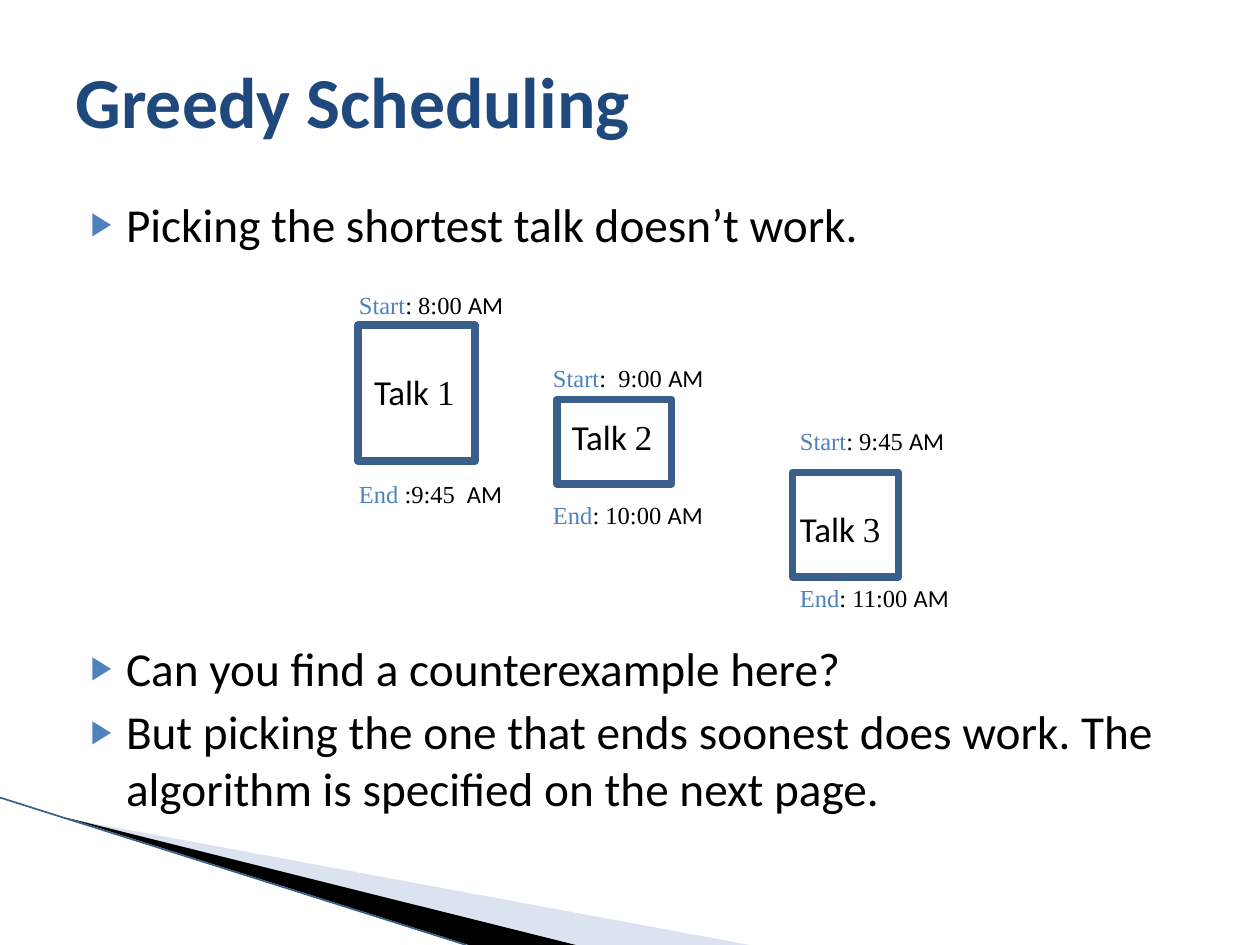
from pptx import Presentation
from pptx.util import Inches, Pt
from pptx.dml.color import RGBColor as RGB
from pptx.enum.shapes import MSO_SHAPE as Kind, MSO_CONNECTOR as Link
from pptx.enum.text import MSO_ANCHOR as Anchor, MSO_AUTO_SIZE as Fit, PP_ALIGN as Align
from lxml.etree import SubElement
from pptx.oxml.ns import qn

HUE = {"title": "1F497D", "text": "000000", "accent": "4F81BD",
       "box": "3A5F8C", "pale": "A7B9DB", "dark": "000000"}
SANS, SERIF = "Calibri", "Times New Roman"


def add_run(para, text, size, font=SANS, hue="text", bold=False):
    """Append one formatted run to a paragraph."""
    run = para.add_run()
    run.text = text
    run.font.size, run.font.name, run.font.bold = Pt(size), font, bold
    run.font.color.rgb = RGB.from_string(HUE[hue])


def add_note(left, top, width, height, size, runs):
    """Place a text box made of (text, font, hue) runs."""
    box = slide.shapes.add_textbox(*map(Inches, (left, top, width, height)))
    box.text_frame.word_wrap = True
    for text, font, hue in runs:
        add_run(box.text_frame.paragraphs[0], text, size, font, hue)


deck = Presentation()
deck.slide_width, deck.slide_height = Inches(10), Inches(7.5)
slide = deck.slides.add_slide(deck.slide_layouts[1])

# Corner wedges, in hundredths of an inch
wedges = [("pale", 40, [(55, 650), (595, 750), (456, 750)]),
          ("dark", 100, [(53, 649), (457, 750), (372, 750)])]
for hue, alpha, pts in wedges:
    pen = slide.shapes.build_freeform(*pts[0], scale=Inches(0.01))
    pen.add_line_segments(pts[1:], close=True)
    wedge = pen.convert_to_shape()
    wedge.shadow.inherit = False
    wedge.line.fill.background()
    wedge.fill.solid()
    wedge.fill.fore_color.rgb = RGB.from_string(HUE[hue])
    if alpha < 100:
        tone = wedge.fill._xPr.find(qn("a:solidFill"))[0]
        SubElement(tone, qn("a:alpha"), val=str(alpha * 1000))

edge = slide.shapes.add_connector(Link.STRAIGHT, 0, Inches(6.33), Inches(3.7), Inches(7.5))
edge.line.width = Pt(0.95)
edge.line.color.rgb = RGB.from_string(HUE["box"])
SubElement(edge._element.spPr, qn("a:effectLst"))

# Title and list
title, body = slide.shapes.title, slide.placeholders[1]
for holder, top, height in ((title, 0.17, 1.25), (body, 1.5, 5.42)):
    holder.left, holder.top = Inches(0.5), Inches(top)
    holder.width, holder.height = Inches(9), Inches(height)
    holder.text_frame.auto_size = Fit.NONE
title.text_frame.vertical_anchor = Anchor.MIDDLE
head = title.text_frame.paragraphs[0]
head.alignment = Align.LEFT
add_run(head, "Greedy Scheduling", 41, hue="title", bold=True)

points = [("Picking the shortest talk doesn’t work.", 4),
          ("Can you find a counterexample here?", 221),
          ("But picking the one that ends soonest does work. "
           "The algorithm is specified on the next page.", 4)]
for i, (text, gap) in enumerate(points):
    para = body.text_frame.paragraphs[0] if i == 0 else body.text_frame.add_paragraph()
    para.space_before = Pt(gap)
    props = para._p.get_or_add_pPr()
    props.set("marL", str(Inches(0.4)))
    props.set("indent", str(Inches(-0.28)))
    color = SubElement(props, qn("a:buClr"))
    SubElement(color, qn("a:srgbClr"), val=HUE["accent"])
    SubElement(props, qn("a:buSzPct"), val="68000")
    SubElement(props, qn("a:buChar"), char="▶")
    add_run(para, text, 27)

# Talks: box, name place, left of times, then (top, word, time, half) for each time
talks = [((2.84, 2.58, 0.93, 1.08), (2.87, 2.89), 2.75,
          [(2.25, "Start", ": 8:00 ", "AM"), (3.75, "End", " :9:45 ", " AM")]),
         ((4.42, 3.17, 0.91, 0.67), (4.44, 3.25), 4.29,
          [(2.83, "Start", ":  9:00 ", "AM"), (3.92, "End", ": 10:00 ", "AM")]),
         ((6.29, 3.75, 0.84, 0.83), (6.25, 3.98), 6.25,
          [(3.33, "Start", ": 9:45 ", "AM"), (4.58, "End", ": 11:00 ", "AM")])]
for num, (area, place, left, times) in enumerate(talks, 1):
    box = slide.shapes.add_shape(Kind.RECTANGLE, *map(Inches, area))
    box.shadow.inherit = False
    box.fill.background()
    box.line.width = Pt(4.33)
    box.line.color.rgb = RGB.from_string(HUE["box"])
    add_note(*place, 1.02, 0.77, 20, [("Talk ", SANS, "text"), (str(num), SERIF, "text")])
    for top, word, time, half in times:
        add_note(left, top, 2.05, 0.34, 14,
                 [(word, SERIF, "accent"), (time, SERIF, "text"), (half, SANS, "text")])

deck.save("out.pptx")
